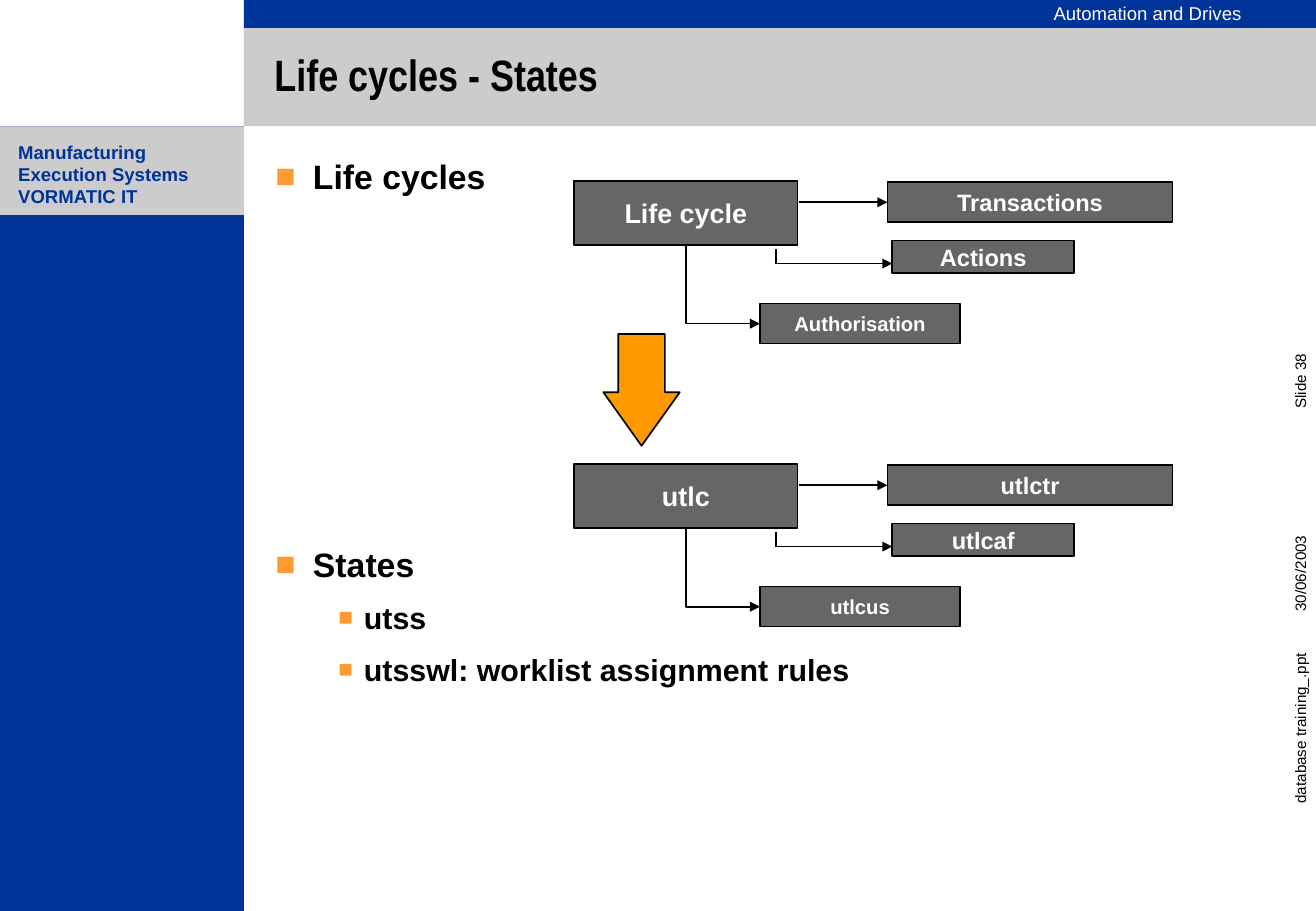
from dataclasses import dataclass

from lxml import etree
from pptx import Presentation
from pptx.dml.color import RGBColor
from pptx.enum import shapes, text
from pptx.oxml import ns
from pptx.util import Inches, Pt


@dataclass(frozen=True)
class Theme:
    blue: str = "003399"
    band: str = "CCCCCC"
    box: str = "666666"
    arrow: str = "FF9900"
    bullet: str = "FF9933"
    black: str = "000000"
    white: str = "FFFFFF"
    font: str = "Arial"
    title_font: str = "Arial Narrow"
    title: int = 26
    body: int = 20
    sub_body: int = 18
    box_main: int = 16
    box_child: int = 14
    box_small: int = 12
    label: int = 11
    footer: int = 9


THEME = Theme()


def color(value):
    return RGBColor.from_string(value)


def style(paragraph, size, ink, bold=False, font=THEME.font):
    paragraph.font.size = Pt(size)
    paragraph.font.bold = bold
    paragraph.font.name = font
    paragraph.font.color.rgb = color(ink)


def add_block(slide, box, fill, outline=None, kind=shapes.MSO_SHAPE.RECTANGLE):
    shape = slide.shapes.add_shape(kind, *map(Inches, box))
    shape.shadow.inherit = False
    shape.fill.solid()
    shape.fill.fore_color.rgb = color(fill)
    if outline:
        shape.line.color.rgb = color(outline)
        shape.line.width = Pt(1)
    else:
        shape.line.fill.background()
    return shape


def add_text(slide, box, words, size, ink, bold=False, font=THEME.font,
             insets=(0.1, 0.05), rotation=0, line_spacing=None):
    shape = slide.shapes.add_textbox(*map(Inches, box))
    shape.rotation = rotation
    frame = shape.text_frame
    frame.word_wrap = True
    frame.margin_left = frame.margin_right = Inches(insets[0])
    frame.margin_top = frame.margin_bottom = Inches(insets[1])
    frame.text = words
    paragraph = frame.paragraphs[0]
    paragraph.line_spacing = line_spacing
    style(paragraph, size, ink, bold, font)
    return shape


def add_box(slide, box, words, size):
    shape = add_block(slide, box, THEME.box, THEME.black)
    frame = shape.text_frame
    frame.word_wrap = False
    frame.vertical_anchor = text.MSO_ANCHOR.MIDDLE
    frame.text = words
    frame.paragraphs[0].alignment = text.PP_ALIGN.CENTER
    style(frame.paragraphs[0], size, THEME.white, bold=True)
    return shape


def add_line(slide, start, end, arrow=False, kind=shapes.MSO_CONNECTOR.STRAIGHT):
    connector = slide.shapes.add_connector(kind, *map(Inches, start + end))
    connector.line.color.rgb = color(THEME.black)
    connector.line.width = Pt(1)
    if arrow:
        line = connector.line._get_or_add_ln()
        etree.SubElement(line, ns.qn("a:tailEnd"), type="triangle")
    etree.SubElement(connector._element.spPr, ns.qn("a:effectLst"))
    return connector


def add_elbow(slide, parent, child, start, end):
    """Arrow that drops from the parent's bottom and turns right into the child."""
    width, height = end[0] - start[0], end[1] - start[1]
    connector = add_line(slide, start, end, True, shapes.MSO_CONNECTOR.ELBOW)
    connector.begin_connect(parent, 2)
    connector.end_connect(child, 1)
    # The frame is stored before its quarter turn, so its sides are swapped.
    connector.left = Inches((start[0] + end[0] - height) / 2)
    connector.top = Inches((start[1] + end[1] - width) / 2)
    connector.width, connector.height = Inches(height), Inches(width)
    properties = connector._element.spPr
    frame = properties.find(ns.qn("a:xfrm"))
    frame.set("rot", "16200000")
    frame.set("flipH", "1")
    properties.find(ns.qn("a:prstGeom")).set("prst", "bentConnector2")


def add_diagram(slide, top, names):
    """One main box with its three linked boxes."""
    main_name, right_name, lower_name, bottom_name = names
    parent = add_box(slide, (4.73, top, 1.84, 0.53), main_name, THEME.box_main)
    right = add_box(slide, (7.31, top + 0.01, 2.35, 0.33), right_name, THEME.box_child)
    add_box(slide, (7.35, top + 0.49, 1.5, 0.27), lower_name, THEME.box_child)
    bottom = add_box(slide, (6.26, top + 1.01, 1.65, 0.33), bottom_name, THEME.box_small)

    middle = top + 0.175
    add_line(slide, (6.58, middle), (7.31, middle), arrow=True).end_connect(right, 1)
    corner = (6.39, top + 0.68)
    add_line(slide, (6.39, top + 0.56), corner)
    add_line(slide, corner, (7.35, top + 0.68), arrow=True)
    add_elbow(slide, parent, bottom, (5.65, top + 0.53), (6.26, top + 1.175))


def add_bullet(paragraph, indent, hanging, scale):
    properties = paragraph._p.get_or_add_pPr()
    properties.set("marL", str(Inches(indent)))
    properties.set("indent", str(-Inches(hanging)))
    bullet_color = etree.SubElement(properties, ns.qn("a:buClr"))
    etree.SubElement(bullet_color, ns.qn("a:srgbClr"), val=THEME.bullet)
    etree.SubElement(properties, ns.qn("a:buSzPct"), val=str(scale * 1000))
    etree.SubElement(properties, ns.qn("a:buFont"), typeface=THEME.font)
    etree.SubElement(properties, ns.qn("a:buChar"), char="■")


def add_body(slide):
    items = [("Life cycles", 0, 0), ("States", 0, 197.5), ("utss", 1, 0),
             ("utsswl: worklist assignment rules", 1, 1)]
    levels = [(THEME.body, 8.8, (0.31, 0.31, 100)),
              (THEME.sub_body, 7.9, (0.73, 0.21, 80))]
    frame = slide.shapes.add_textbox(*map(Inches, (2.17, 1.23, 8.4, 5.19))).text_frame
    frame.word_wrap = True
    frame.text = "\n".join(words for words, _, _ in items)
    for paragraph, (_, level, before) in zip(frame.paragraphs, items):
        size, after, bullet = levels[level]
        paragraph.level = level
        if before:
            paragraph.space_before = Pt(before)
        paragraph.space_after = Pt(after)
        add_bullet(paragraph, *bullet)
        style(paragraph, size, THEME.black, bold=True)


def add_frame(slide):
    """Coloured bands, sidebar and the small labels around the content."""
    for box, fill in [((2.01, 0, 8.83, 1.04), THEME.band),
                      ((2.01, 0, 8.83, 0.23), THEME.blue),
                      ((0, 1.04, 2.01, 6.46), THEME.blue),
                      ((0, 1.04, 2.01, 0.73), THEME.band)]:
        add_block(slide, box, fill)
    add_text(slide, (8.58, -0.01, 2, 0.27), "Automation and Drives",
             THEME.label, THEME.white, line_spacing=0.9)
    add_text(slide, (0.11, 1.16, 1.8, 0.55),
             "Manufacturing Execution Systems\vVORMATIC IT",
             THEME.label, THEME.blue, bold=True, insets=(0.04, 0))
    for words, top in [("Slide 38", 2.45), ("30/06/2003", 4.12),
                       ("database training_.ppt", 5.7)]:
        add_text(slide, (9.87, top, 1.68, 0.25), words, THEME.footer,
                 THEME.black, insets=(0.05, 0.05), rotation=270)


def main():
    presentation = Presentation()
    presentation.slide_width, presentation.slide_height = Inches(10.84), Inches(7.5)
    slide = presentation.slides.add_slide(presentation.slide_layouts[6])
    add_frame(slide)
    title = add_text(slide, (2.26, 0.23, 8.58, 0.81), "Life cycles - States",
                     THEME.title, THEME.black, bold=True, font=THEME.title_font,
                     insets=(0, 0), line_spacing=0.9)
    title.text_frame.vertical_anchor = text.MSO_ANCHOR.MIDDLE
    add_body(slide)
    add_diagram(slide, 1.49, ("Life cycle", "Transactions", "Actions", "Authorisation"))
    add_diagram(slide, 3.82, ("utlc", "utlctr", "utlcaf", "utlcus"))
    arrow = add_block(slide, (4.97, 2.75, 0.63, 0.92), THEME.arrow, THEME.black,
                      shapes.MSO_SHAPE.DOWN_ARROW)
    arrow.adjustments[0], arrow.adjustments[1] = 0.61, 0.7
    presentation.save("out.pptx")


if __name__ == "__main__":
    main()
